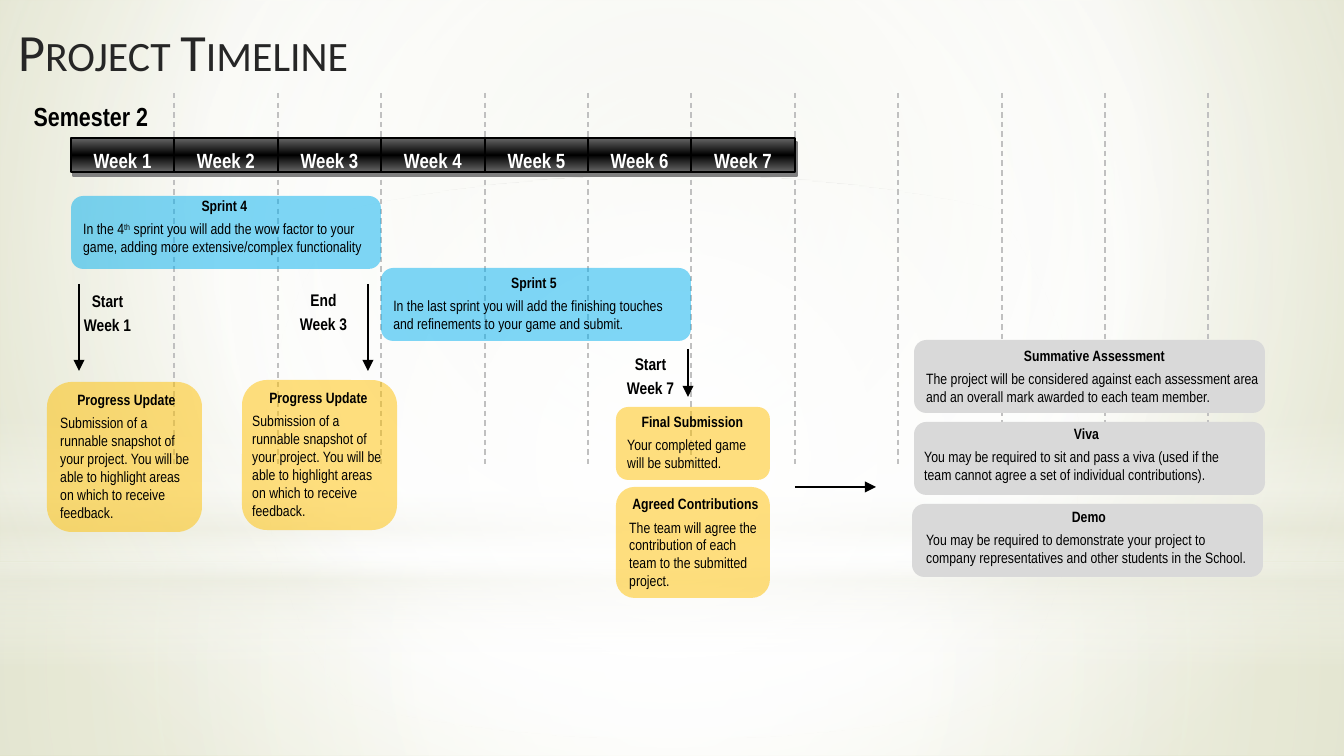
from typing import NamedTuple

from lxml import etree
from pptx import Presentation, util as u
from pptx.dml.color import RGBColor
from pptx.enum import dml, shapes, text
from pptx.oxml import ns

PX = 914400 / 134.4
BLACK = RGBColor(0x00, 0x00, 0x00)
WHITE = RGBColor(0xFF, 0xFF, 0xFF)
INK = RGBColor(0x26, 0x26, 0x26)
DASH = RGBColor(0xC0, 0xC0, 0xC0)
STEEL = RGBColor(0x66, 0x66, 0x66)
SHADE = RGBColor(0x7F, 0x7F, 0x7F)
BLUE = RGBColor(0x00, 0xB0, 0xF0)
GOLD = RGBColor(0xFF, 0xC0, 0x00)
GREY = RGBColor(0xD9, 0xD9, 0xD9)
CREAM = RGBColor(0xEA, 0xEB, 0xDE)
SAGE = RGBColor(0xE3, 0xE5, 0xD1)
MOSS = RGBColor(0xCC, 0xD0, 0x9F)

SHAPE = shapes.MSO_SHAPE
ALIGN = text.PP_ALIGN
NARROW = "Arial Narrow"
MID = (50, 50, 50, 50)
LEFT, STEP = 71, 103.4

Rect = tuple[int, int, int, int]


class Stop(NamedTuple):
    at: int
    tint: RGBColor
    alpha: int = 100


class Blend(NamedTuple):
    stops: tuple[Stop, ...]
    focus: Rect | None = None


class Layer(NamedTuple):
    kind: SHAPE
    rect: Rect
    blend: Blend


class Card(NamedTuple):
    tint: RGBColor
    alpha: int
    rect: Rect
    area: Rect
    head: str
    body: tuple[str, ...]


class Label(NamedTuple):
    rect: Rect
    lines: tuple[str, ...]
    size: int


class Arrow(NamedTuple):
    start: tuple[int, int]
    end: tuple[int, int]


BACK = Blend((Stop(0, SAGE), Stop(60, WHITE), Stop(100, MOSS)), (20, 10, 20, 60))
METAL = Blend((Stop(0, STEEL), Stop(50, BLACK), Stop(100, STEEL)))
LAYERS = (
    Layer(SHAPE.RECTANGLE, (0, 563, 1344, 193),
          Blend((Stop(0, WHITE, 91), Stop(37, WHITE, 76), Stop(100, CREAM, 79)), MID)),
    Layer(SHAPE.RECTANGLE, (0, 0, 1344, 563),
          Blend((Stop(0, WHITE, 89), Stop(48, WHITE, 62), Stop(100, CREAM, 79)), MID)),
    Layer(SHAPE.RECTANGLE, (0, 415, 1344, 253),
          Blend((Stop(0, WHITE, 0), Stop(29, WHITE, 30), Stop(45, CREAM, 40),
                 Stop(55, WHITE, 26), Stop(65, CREAM, 60), Stop(100, WHITE, 0)))),
    Layer(SHAPE.OVAL, (0, 176, 1344, 563),
          Blend((Stop(0, WHITE), Stop(56, WHITE, 0)), MID)),
)
UPDATE = ("Submission of a runnable snapshot of your project. You will be able to "
          "highlight areas on which to receive feedback.",)
CARDS = (
    Card(BLUE, 50, (71, 196, 310, 73), (70, 190, 309, 73), "Sprint 4",
         ("In the 4", "th", " sprint you will add the wow factor to your game, "
          "adding more extensive/complex functionality")),
    Card(BLUE, 50, (381, 268, 310, 73), (380, 267, 308, 73), "Sprint 5",
         ("In the last sprint you will add the finishing touches and refinements "
          "to your game and submit.",)),
    Card(GOLD, 50, (47, 382, 155, 150), (47, 384, 159, 122), "Progress Update", UPDATE),
    Card(GOLD, 50, (242, 380, 155, 150), (239, 382, 159, 122), "Progress Update", UPDATE),
    Card(GOLD, 50, (616, 407, 154, 73), (614, 406, 157, 73), "Final Submission",
         ("Your completed game will be submitted.",)),
    Card(GOLD, 50, (616, 487, 154, 111), (616, 488, 159, 81), "Agreed Contributions",
         ("The team will agree the contribution of each team to the submitted project.",)),
    Card(GREY, 100, (914, 340, 351, 73), (913, 340, 363, 89), "Summative Assessment",
         ("The project will be considered against each assessment area and an overall "
          "mark awarded to each team member.",)),
    Card(GREY, 100, (914, 422, 351, 73), (911, 418, 351, 89), "Viva",
         ("You may be required to sit and pass a viva (used if the team cannot agree "
          "a set of individual contributions).",)),
    Card(GREY, 100, (912, 504, 351, 73), (913, 501, 352, 89), "Demo",
         ("You may be required to demonstrate your project to company representatives "
          "and other students in the School.",)),
)
LABELS = (
    Label((23, 93, 136, 39), ("Semester 2",), 14),
    Label((609, 348, 83, 39), ("Start", "Week 7"), 9),
    Label((66, 285, 83, 39), ("Start", "Week 1"), 9),
    Label((286, 284, 75, 39), ("End", "Week 3"), 9),
)
ARROWS = (
    Arrow((79, 284), (79, 371)),
    Arrow((368, 284), (368, 371)),
    Arrow((688, 349), (688, 397)),
    Arrow((795, 487), (876, 487)),
)


def px(*vals: int) -> list[int]:
    return [round(v * PX) for v in vals]


def put(item, vals: dict) -> None:
    for key, val in vals.items():
        setattr(item, key, val)


def add(node, tag: str, **atts):
    kid = etree.SubElement(node, ns.qn(tag))
    for key, val in atts.items():
        kid.set(key, str(val))
    return kid


def tone(node, tint: RGBColor, alpha: int) -> None:
    clr = add(node, "a:srgbClr", val=tint)
    if alpha < 100:
        add(clr, "a:alpha", val=alpha * 1000)


def paint(fill, root, blend: Blend) -> None:
    fill.solid()
    old = root.xpath(".//p:bgPr/a:solidFill | .//p:spPr/a:solidFill")[0]
    grad = etree.Element(ns.qn("a:gradFill"), rotWithShape="1")
    row = add(grad, "a:gsLst")
    for stop in blend.stops:
        tone(add(row, "a:gs", pos=stop.at * 1000), stop.tint, stop.alpha)
    if blend.focus:
        sides = (v * 1000 for v in blend.focus)
        add(add(grad, "a:path", path="circle"), "a:fillToRect", **dict(zip("ltrb", sides)))
    else:
        add(grad, "a:lin", ang=5400000, scaled=0)
    old.getparent().replace(old, grad)


def block(slide, kind: SHAPE, rect: Rect):
    shape = slide.shapes.add_shape(kind, *px(*rect))
    shape.shadow.inherit = False
    shape.line.fill.background()
    return shape


def write(para, words: str, form: dict, tint: RGBColor = BLACK, **vals):
    put(para, vals)
    run = para.add_run()
    run.text = words
    put(run.font, form)
    run.font.color.rgb = tint
    return run


def frame(slide, rect: Rect, **vals):
    body = slide.shapes.add_textbox(*px(*rect)).text_frame
    put(body, {"word_wrap": True, **vals})
    return body


def draw_line(home, start, end, tint: RGBColor):
    line = home.add_connector(shapes.MSO_CONNECTOR.STRAIGHT, *px(*start, *end))
    line.line.width = u.Pt(0.75)
    line.line.color.rgb = tint
    add(line._element.spPr, "a:effectLst")
    return line


def draw_week(slide, num: int) -> None:
    left, right = (round(LEFT + STEP * n) for n in (num - 1, num))
    shape = block(slide, SHAPE.RECTANGLE, (left, 138, right - left, 34))
    paint(shape.fill, shape._element, METAL)
    shape.line.color.rgb = BLACK
    shape.line.width = u.Pt(1)
    glow = shape._element.spPr.find(ns.qn("a:effectLst"))
    tone(add(glow, "a:outerShdw", dist=u.Pt(2.2), dir=63 * 60000, algn="ctr"), SHADE, 100)
    put(shape.text_frame, {"word_wrap": True, "vertical_anchor": text.MSO_ANCHOR.TOP})
    write(shape.text_frame.paragraphs[0], f"Week {num}",
          {"name": NARROW, "size": u.Pt(11), "bold": True}, WHITE,
          alignment=ALIGN.CENTER, line_spacing=1.15)


def draw_card(slide, card: Card) -> None:
    shape = block(slide, SHAPE.ROUNDED_RECTANGLE, card.rect)
    shape.fill.solid()
    shape.fill.fore_color.rgb = card.tint
    if card.alpha < 100:
        clr = shape._element.xpath("./p:spPr/a:solidFill/a:srgbClr")[0]
        add(clr, "a:alpha", val=card.alpha * 1000)
    body = frame(slide, card.area)
    form = {"name": NARROW, "size": u.Pt(8)}
    write(body.paragraphs[0], card.head, {**form, "bold": True},
          alignment=ALIGN.CENTER, space_after=u.Pt(3))
    para = body.add_paragraph()
    for spot, part in enumerate(card.body):
        run = write(para, part, form)
        if spot == 1:
            run.font._element.set("baseline", "30000")


def draw_label(slide, label: Label) -> None:
    side, edge = px(0, 3)
    body = frame(slide, label.rect, margin_left=side, margin_right=side,
                 margin_top=edge, margin_bottom=edge)
    for spot, words in enumerate(label.lines):
        para = body.add_paragraph() if spot else body.paragraphs[0]
        write(para, words, {"name": NARROW, "size": u.Pt(label.size), "bold": True},
              alignment=ALIGN.CENTER, line_spacing=1.15)


def main() -> None:
    deck = Presentation()
    deck.slide_width, deck.slide_height = px(1344, 756)
    slide = deck.slides.add_slide(deck.slide_layouts[6])
    paint(slide.background.fill, slide._element, BACK)
    for layer in LAYERS:
        shape = block(slide, layer.kind, layer.rect)
        paint(shape.fill, shape._element, layer.blend)
    title = frame(slide, (5, 8, 571, 85), vertical_anchor=text.MSO_ANCHOR.MIDDLE)
    run = write(title.paragraphs[0], "Project Timeline",
                {"name": "Calibri", "size": u.Pt(28)}, INK)
    run.font._element.set("cap", "small")
    grid = slide.shapes.add_group_shape().shapes
    for num in range(1, 12):
        spot = round(LEFT + STEP * num)
        line = draw_line(grid, (spot, 93), (spot, 466), DASH)
        line.line.dash_style = dml.MSO_LINE.DASH
    for num in range(1, 8):
        draw_week(slide, num)
    for card in CARDS:
        draw_card(slide, card)
    for label in LABELS:
        draw_label(slide, label)
    for arrow in ARROWS:
        line = draw_line(slide.shapes, arrow.start, arrow.end, BLACK)
        add(line.line._get_or_add_ln(), "a:tailEnd", type="triangle")
    deck.save("out.pptx")


if __name__ == "__main__":
    main()
